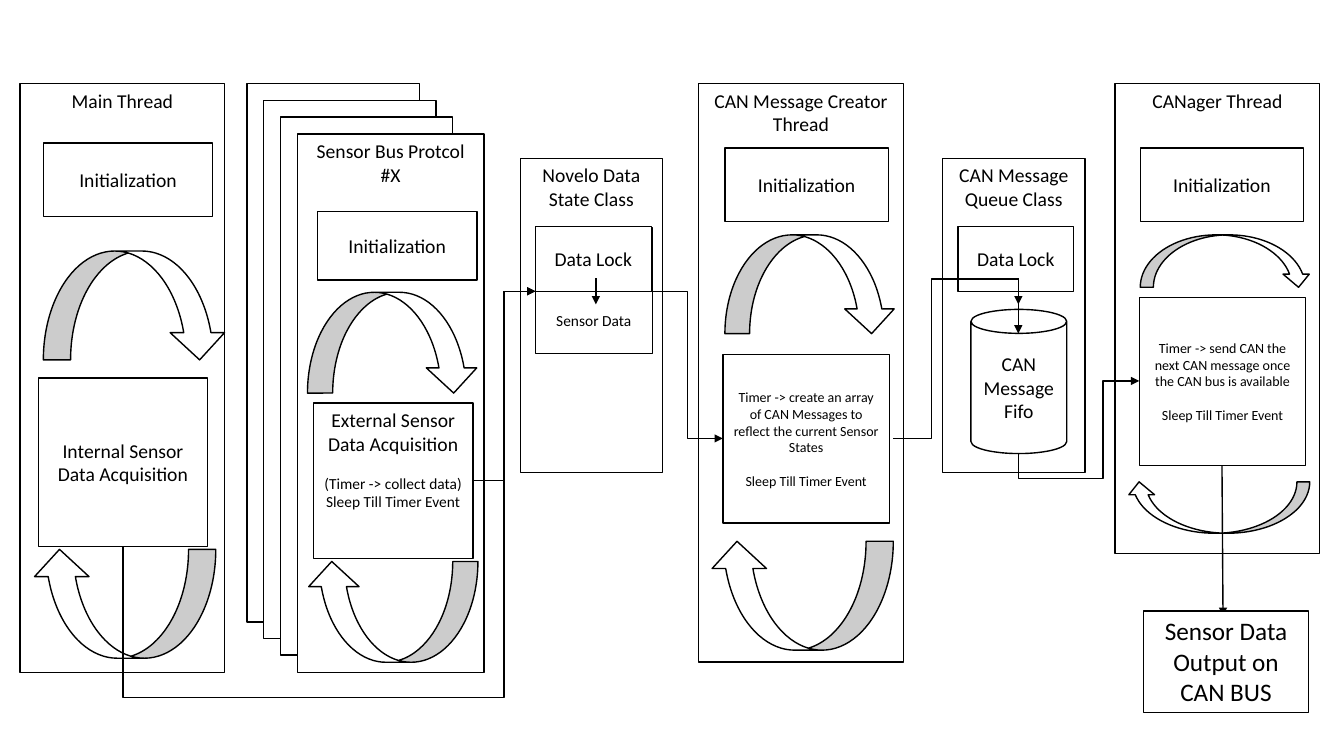
import dataclasses
import pptx
import pptx.dml.color
import pptx.enum.shapes
import pptx.enum.text
import pptx.oxml
import pptx.oxml.ns
import pptx.util

Inches = pptx.util.Inches
Pt = pptx.util.Pt
SHAPE = pptx.enum.shapes.MSO_SHAPE
LINK = pptx.enum.shapes.MSO_CONNECTOR
ANCHOR = pptx.enum.text.MSO_ANCHOR
qn = pptx.oxml.ns.qn


@dataclasses.dataclass(frozen=True)
class Theme:
    ink: pptx.dml.color.RGBColor = pptx.dml.color.RGBColor(0, 0, 0)
    paper: pptx.dml.color.RGBColor = pptx.dml.color.RGBColor(255, 255, 255)
    font: str = "Calibri"
    output: int = 18
    label: int = 14
    detail: int = 11
    small: int = 10
    stroke: int = 1


THEME = Theme()


def inside(box, offset):
    return (box[0] + offset[0], box[1] + offset[1], offset[2], offset[3])


def block(shapes, box, lines=(), anchor=ANCHOR.MIDDLE, kind=SHAPE.RECTANGLE):
    part = shapes.add_shape(kind, *map(Inches, box))
    part.shadow.inherit = False
    part.fill.solid()
    part.fill.fore_color.rgb = THEME.paper
    part.line.color.rgb = THEME.ink
    part.line.width = Pt(THEME.stroke)
    frame = part.text_frame
    frame.word_wrap = True
    frame.vertical_anchor = anchor
    for index, (words, size, gap) in enumerate(lines):
        paragraph = frame.add_paragraph() if index else frame.paragraphs[0]
        paragraph.text = words
        paragraph.alignment = pptx.enum.text.PP_ALIGN.CENTER
        paragraph.space_before = Pt(gap)
        paragraph.font.size = Pt(size)
        paragraph.font.name = THEME.font
        paragraph.font.color.rgb = THEME.ink
    return part


def label(words):
    return [(words, THEME.label, 0)]


def timer_task(words):
    return [(words, THEME.small, 0), ("Sleep Till Timer Event", THEME.small, 12.2)]


def arrow(shapes, start, end, kind=LINK.STRAIGHT):
    link = shapes.add_connector(kind, *map(Inches, start + end))
    link.line.color.rgb = THEME.ink
    link.line.width = Pt(THEME.stroke)
    link.line._get_or_add_ln().append(
        pptx.oxml.parse_xml('<a:tailEnd %s type="triangle"/>' % pptx.oxml.ns.nsdecls("a")))
    properties = link._element.spPr
    properties.append(properties.makeelement(qn("a:effectLst"), {}))
    return link


def elbow(shapes, start, end, turn_x, turn_y=None, leaves_down=False):
    share_x = (turn_x - start[0]) / (end[0] - start[0])
    shares = [share_x]
    if turn_y is not None:
        shares.append((turn_y - start[1]) / (end[1] - start[1]))
    ends = (start, end)
    if leaves_down:
        shares.reverse()
        middle_x, middle_y = (start[0] + end[0]) / 2, (start[1] + end[1]) / 2
        ends = [(middle_x + y - middle_y, middle_y - x + middle_x) for x, y in ends]
    properties = arrow(shapes, *ends, kind=LINK.ELBOW)._element.spPr
    if leaves_down:
        properties.find(qn("a:xfrm")).set("rot", "5400000")
    geometry = properties.find(qn("a:prstGeom"))
    geometry.set("prst", "bentConnector%d" % (len(shares) + 2))
    adjustments = geometry.find(qn("a:avLst"))
    for number, share in enumerate(shares, 1):
        guide = {"name": "adj%d" % number, "fmla": "val %d" % round(share * 100000)}
        adjustments.append(adjustments.makeelement(qn("a:gd"), guide))


def thread(shapes, box, title, start, lower, upper, task, task_lines, task_anchor=ANCHOR.MIDDLE):
    block(shapes, box, label(title), ANCHOR.TOP)
    block(shapes, inside(box, start), label("Initialization"))
    block(shapes, inside(box, lower), kind=SHAPE.CURVED_DOWN_ARROW).rotation = 180
    block(shapes, inside(box, upper), kind=SHAPE.CURVED_DOWN_ARROW)
    block(shapes, inside(box, task), task_lines, task_anchor)


def sensor_stack(shapes, box):
    step = 0.165
    for layer in range(3):
        block(shapes, inside(box, (layer * step, layer * step, 1.71, 5.34)))
    thread(shapes, inside(box, (0.5, 0.5, 1.85, 5.34)), "Sensor Bus Protcol #X",
           start=(0.2, 0.77, 1.58, 0.68), lower=(0.09, 4.24, 1.7, 1),
           upper=(0.1, 1.57, 1.7, 1), task=(0.16, 2.67, 1.58, 1.54),
           task_lines=label("External Sensor Data Acquisition") + [
               ("(Timer -> collect data)", THEME.detail, 13.4),
               ("Sleep Till Timer Event", THEME.detail, 0)],
           task_anchor=ANCHOR.TOP)


def data_lock(shapes, box):
    block(shapes, inside(box, (0.15, 0.68, 1.15, 0.64)), label("Data Lock"))
    arrow(shapes, (box[0] + 0.75, box[1] + 1.19), (box[0] + 0.75, box[1] + 1.45))


def state_class(shapes, box):
    block(shapes, box, label("Novelo Data State Class"), ANCHOR.TOP)
    sensor_data = block(shapes, inside(box, (0.15, 0.69, 1.16, 1.25)),
                        [("Sensor Data", THEME.detail, 0)], ANCHOR.BOTTOM)
    sensor_data.text_frame.margin_bottom = Inches(0.24)
    data_lock(shapes, box)


def queue_class(shapes, box):
    block(shapes, box, label("CAN Message Queue Class"), ANCHOR.TOP)
    data_lock(shapes, box)
    block(shapes, inside(box, (0.28, 1.5, 0.95, 1.43)), label("CAN Message Fifo"), kind=SHAPE.CAN)


def data_flow(shapes):
    lock_entry = (5.31, 2.89)
    elbow(shapes, (1.22, 5.42), lock_entry, 5, 6.92, leaves_down=True)
    elbow(shapes, (4.69, 4.77), lock_entry, 5)
    elbow(shapes, (6.46, 2.89), (7.17, 4.35), 6.82)
    elbow(shapes, (8.86, 4.35), (10.1, 3.31), 9.24, 2.77)
    elbow(shapes, (10.1, 4.5), (11.3, 3.78), 10.94, 4.75, leaves_down=True)
    arrow(shapes, (12.12, 4.62), (12.13, 6.11))


deck = pptx.Presentation()
deck.slide_width, deck.slide_height = Inches(13.33), Inches(7.5)
shapes = deck.slides.add_slide(deck.slide_layouts[6]).shapes

thread(shapes, (0.2, 0.83, 2.03, 5.84), "Main Thread",
       start=(0.23, 0.59, 1.68, 0.73), lower=(0.12, 4.62, 1.82, 1.08),
       upper=(0.23, 1.66, 1.82, 1.08), task=(0.18, 2.92, 1.68, 1.67),
       task_lines=label("Internal Sensor Data Acquisition"))
sensor_stack(shapes, (2.45, 0.83))
state_class(shapes, (5.16, 1.57, 1.41, 3.12))
thread(shapes, (6.93, 0.83, 2.03, 5.74), "CAN Message Creator Thread",
       start=(0.26, 0.64, 1.62, 0.73), lower=(0.11, 4.54, 1.82, 1.08),
       upper=(0.26, 1.5, 1.7, 0.98), task=(0.24, 2.69, 1.65, 1.67),
       task_lines=timer_task(
           "Timer -> create an array of CAN Messages to reflect the current Sensor States"))
queue_class(shapes, (9.35, 1.57, 1.41, 3.12))
thread(shapes, (11.06, 0.83, 2.03, 4.66), "CANager Thread",
       start=(0.25, 0.64, 1.62, 0.73), lower=(0.11, 3.95, 1.82, 0.51),
       upper=(0.25, 1.5, 1.7, 0.52), task=(0.24, 2.12, 1.65, 1.67),
       task_lines=timer_task(
           "Timer -> send CAN the next CAN message once the CAN bus is available"))
data_flow(shapes)
block(shapes, (11.34, 6.06, 1.64, 1.01),
      [("Sensor Data Output on CAN BUS", THEME.output, 0)], ANCHOR.TOP)

deck.save("out.pptx")
